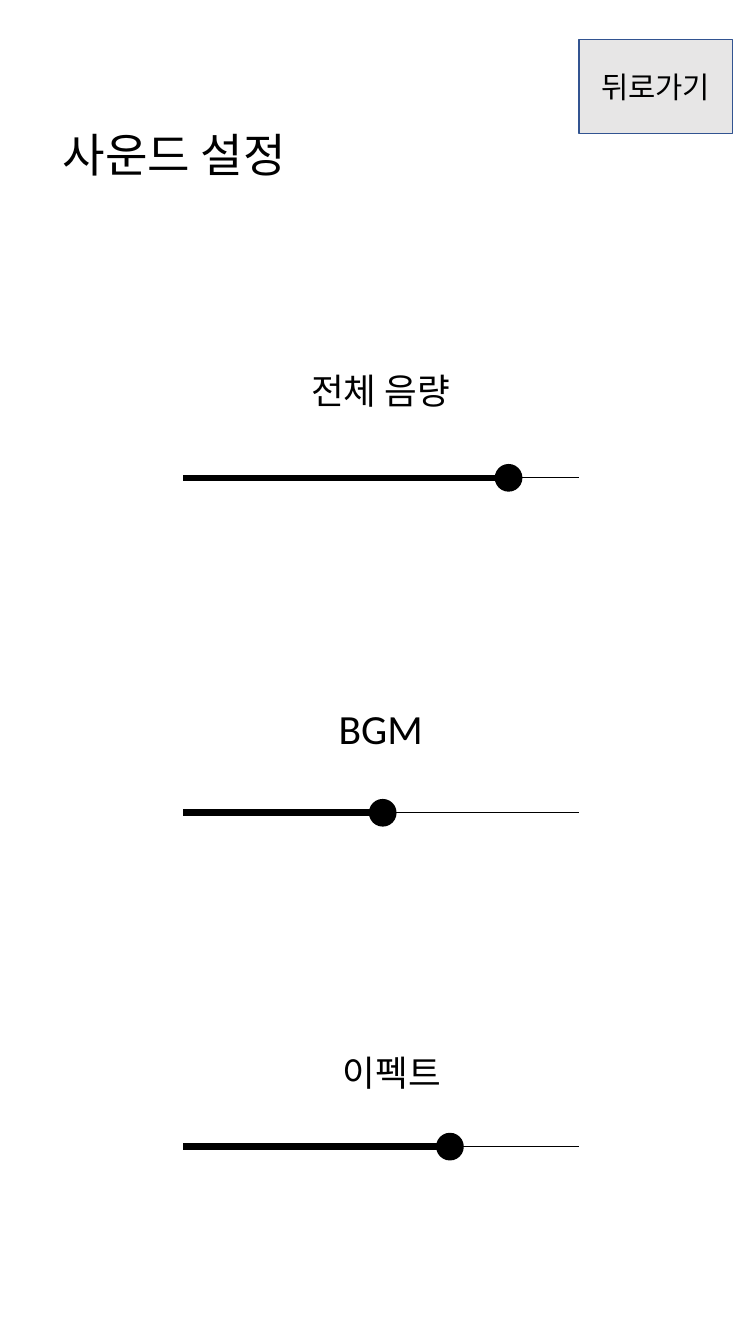
from pptx import Presentation
from pptx.dml.color import RGBColor
from pptx.enum.shapes import MSO_CONNECTOR, MSO_SHAPE
from pptx.enum.text import MSO_ANCHOR, PP_ALIGN
from pptx.oxml.ns import qn
from pptx.util import Inches, Pt
from lxml.etree import SubElement

COLORS = {"ink": "000000", "button": "E7E6E6", "button_edge": "325491"}
TRACK_LEFT, TRACK_RIGHT = 1.72, 5.43
KNOB_SIZE = 0.26


def write(shape, text, size, align=PP_ALIGN.CENTER, anchor=MSO_ANCHOR.TOP,
          wrap=True, line_spacing=1.0):
    frame = shape.text_frame
    frame.word_wrap = wrap
    frame.vertical_anchor = anchor
    paragraph = frame.paragraphs[0]
    paragraph.alignment = align
    paragraph.line_spacing = line_spacing
    run = paragraph.add_run()
    run.text = text
    run.font.name = "Calibri"
    run.font.size = Pt(size)
    run.font.color.rgb = RGBColor.from_string(COLORS["ink"])


def add_track(end, y, weight):
    """Draw a horizontal slider line from the shared left edge to end."""
    track = slide.shapes.add_connector(
        MSO_CONNECTOR.STRAIGHT, Inches(TRACK_LEFT), Inches(y), Inches(end), Inches(y))
    track.line.color.rgb = RGBColor.from_string(COLORS["ink"])
    track.line.width = Pt(weight)
    SubElement(track._element.spPr, qn("a:effectLst"))


prs = Presentation()
prs.slide_width = Inches(7.09)
prs.slide_height = Inches(12.6)
slide = prs.slides.add_slide(prs.slide_layouts[6])

title = slide.shapes.add_textbox(Inches(0.49), Inches(0.67), Inches(6.11), Inches(1.61))
write(title, "사운드 설정", 31.2, align=PP_ALIGN.LEFT, anchor=MSO_ANCHOR.MIDDLE,
      line_spacing=0.9)

back_button = slide.shapes.add_shape(
    MSO_SHAPE.RECTANGLE, Inches(5.43), Inches(0.37), Inches(1.44), Inches(0.88))
back_button.shadow.inherit = False
back_button.fill.solid()
back_button.fill.fore_color.rgb = RGBColor.from_string(COLORS["button"])
back_button.line.color.rgb = RGBColor.from_string(COLORS["button_edge"])
back_button.line.width = Pt(1)
write(back_button, "뒤로가기", 20, anchor=MSO_ANCHOR.MIDDLE)

# label, size, label box (left, top, width, height), track y, level end, knob left
sliders = [
    ("전체 음량", 24, (2.76, 3.41, 1.62, 0.5), 4.48, 4.7, 4.64),
    ("BGM", 28, (3.07, 6.54, 1, 0.57), 7.62, 3.54, 3.46),
    ("이펙트", 24, (3.07, 9.8, 1.21, 0.5), 10.75, 4.11, 4.09),
]
for name, size, label_box, y, level_end, knob_left in sliders:
    add_track(TRACK_RIGHT, y, 0.5)
    add_track(level_end, y, 4.5)

    knob = slide.shapes.add_shape(
        MSO_SHAPE.OVAL, Inches(knob_left), Inches(y - KNOB_SIZE / 2),
        Inches(KNOB_SIZE), Inches(KNOB_SIZE))
    knob.shadow.inherit = False
    knob.fill.solid()
    knob.fill.fore_color.rgb = RGBColor.from_string(COLORS["ink"])
    knob.line.fill.background()

    label = slide.shapes.add_textbox(*map(Inches, label_box))
    write(label, name, size, wrap=False)

prs.save("out.pptx")
